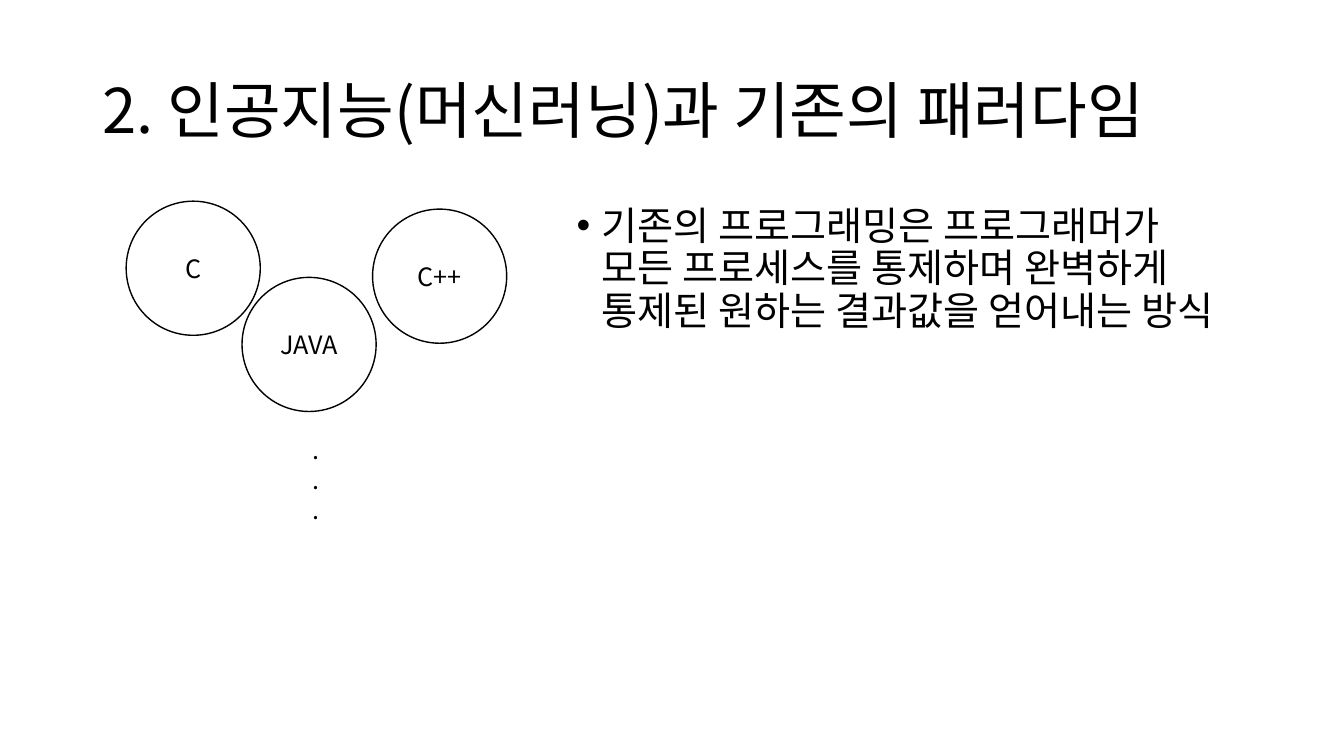
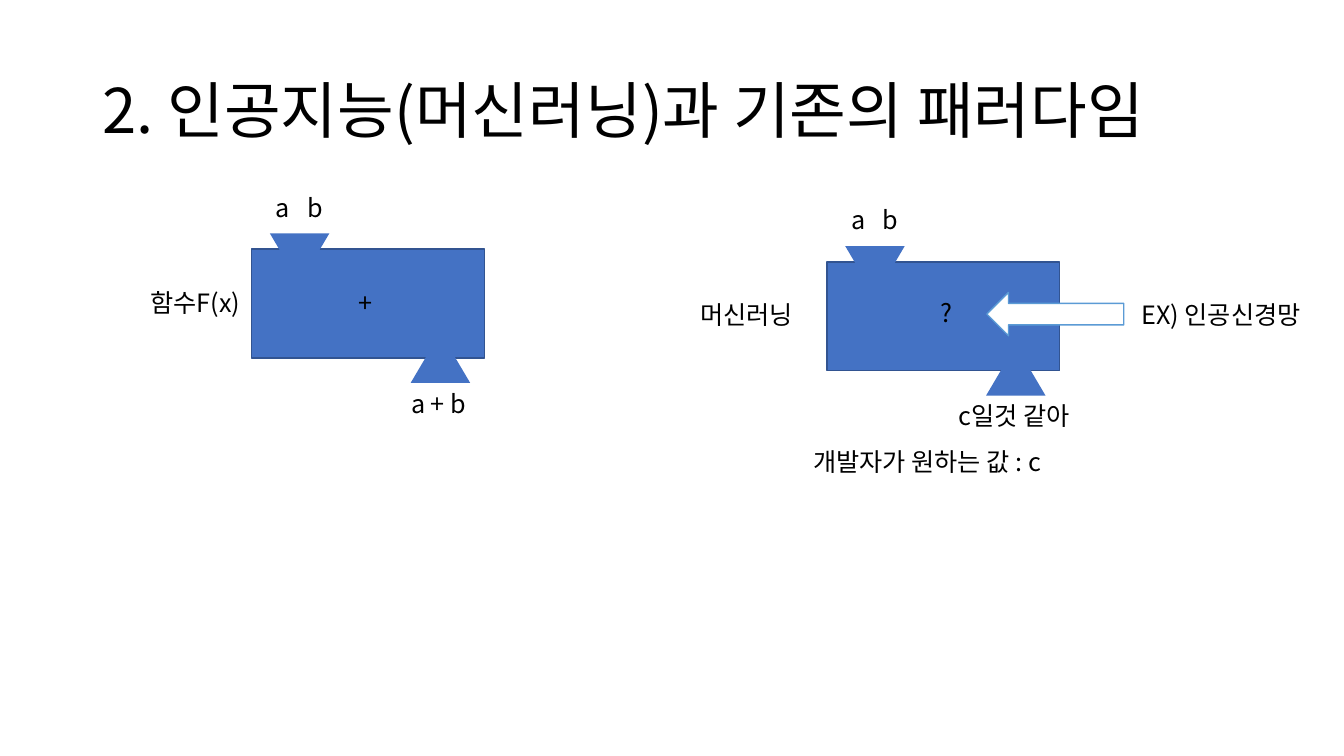
from dataclasses import dataclass
from typing import Optional

import lxml.etree
import pptx
import pptx.dml.color
import pptx.enum.shapes
import pptx.enum.text
import pptx.oxml.ns
import pptx.shapes.autoshape
import pptx.slide
import pptx.text.text
import pptx.util

Cm = pptx.util.Cm
Pt = pptx.util.Pt
RGBColor = pptx.dml.color.RGBColor
Geometry = pptx.enum.shapes.MSO_SHAPE
Anchor = pptx.enum.text.MSO_ANCHOR
Align = pptx.enum.text.PP_ALIGN
qn = pptx.oxml.ns.qn

# Shared style
FONT = "Noto Sans CJK KR"
BLACK = RGBColor(0x00, 0x00, 0x00)
WHITE = RGBColor(0xFF, 0xFF, 0xFF)
BLUE = RGBColor(0x44, 0x72, 0xC4)
DARK_BLUE = RGBColor(0x32, 0x54, 0x91)
LIGHT_BLUE = RGBColor(0x5B, 0x9B, 0xD5)
TITLE = "2. 인공지능(머신러닝)과 기존의 패러다임"
LABEL_HEIGHT = 1.02
CIRCLE_SIZE = 3.38
INDENT = 0.64
INPUT_TAB = 0.79


@dataclass(frozen=True)
class Area:
    """Left, top, width and height in centimetres."""
    left: float
    top: float
    width: float
    height: float = LABEL_HEIGHT

    def lengths(self) -> tuple:
        return Cm(self.left), Cm(self.top), Cm(self.width), Cm(self.height)

    def shifted(self, left: float, top: float) -> "Area":
        return Area(self.left + left, self.top + top, self.width, self.height)


@dataclass(frozen=True)
class Label:
    text: str
    area: Area


@dataclass(frozen=True)
class Machine:
    """A box with a funnel at each end; label areas are relative to it."""
    left: float
    top: float
    labels: tuple[Label, ...]


BODY = Area(0, 0, 5.87, 2.74)
FUNNEL_IN = Area(0.46, -0.4, 1.5, 1.27)
FUNNEL_OUT = Area(4.01, 2.1, 1.5, 1.27)
INPUTS = Label("a\tb", Area(0.36, -1.57, 2.57))

CIRCLES = [
    Label("C", Area(3.18, 5.07, CIRCLE_SIZE, CIRCLE_SIZE)),
    Label("JAVA", Area(6.1, 6.99, CIRCLE_SIZE, CIRCLE_SIZE)),
    Label("C++", Area(9.39, 5.27, CIRCLE_SIZE, CIRCLE_SIZE)),
]
MACHINES = [
    Machine(6.34, 6.28, (
        Label("함수F(x)", Area(-2.8, 0.83, 2.82)),
        INPUTS,
        Label("+", Area(2.44, 0.84, 0.99)),
        Label("a + b", Area(3.77, 3.37, 2.44)),
    )),
    Machine(20.84, 6.6, (
        Label("머신러닝", Area(-3.44, 0.82, 3.45)),
        INPUTS,
        Label("?", Area(2.62, 0.77, 1.14)),
        Label("c일것 같아", Area(3.06, 3.36, 3.84)),
        Label("EX) 인공신경망", Area(7.67, 0.82, 4.98)),
        Label("개발자가 원하는 값 : c", Area(-0.6, 4.53, 7.57)),
    )),
]


# Text
def style_text(frame: pptx.text.text.TextFrame, size: float) -> None:
    for para in frame.paragraphs:
        for span in para.runs:
            span.font.size = Pt(size)
            span.font.name = FONT
            span.font.color.rgb = BLACK


def add_text(page: pptx.slide.Slide, label: Label,
             size: float = 18) -> pptx.text.text.TextFrame:
    box = page.shapes.add_textbox(*label.area.lengths())
    frame = box.text_frame
    frame.word_wrap = True
    frame.text = label.text
    style_text(frame, size)
    return frame


def add_title(page: pptx.slide.Slide) -> None:
    frame = add_text(page, Label(TITLE, Area(2.33, 1.01, 29.21, 3.68)), 44)
    frame.vertical_anchor = Anchor.MIDDLE
    frame.paragraphs[0].line_spacing = 0.9


def add_bullet(para: pptx.text.text._Paragraph) -> None:
    properties = para._p.get_or_add_pPr()
    properties.set("marL", str(Cm(INDENT)))
    properties.set("indent", str(-Cm(INDENT)))
    bullet_font = lxml.etree.SubElement(properties, qn("a:buFont"))
    bullet_font.set("typeface", "Arial")
    lxml.etree.SubElement(properties, qn("a:buChar")).set("char", "•")


def add_tab(para: pptx.text.text._Paragraph, position: float) -> None:
    stops = lxml.etree.SubElement(para._p.get_or_add_pPr(), qn("a:tabLst"))
    stop = lxml.etree.SubElement(stops, qn("a:tab"))
    stop.set("pos", str(Cm(position)))
    stop.set("algn", "l")


# Shapes
def add_figure(page: pptx.slide.Slide, geometry: Geometry, area: Area,
               fill: RGBColor, line: Optional[RGBColor] = None,
               rotation: float = 0) -> pptx.shapes.autoshape.Shape:
    figure = page.shapes.add_shape(geometry, *area.lengths())
    figure.shadow.inherit = False
    figure.rotation = rotation
    figure.fill.solid()
    figure.fill.fore_color.rgb = fill
    if line is None:
        figure.line.fill.background()
    else:
        figure.line.color.rgb = line
        figure.line.width = Pt(1)
    return figure


def add_circle(page: pptx.slide.Slide, circle: Label) -> None:
    figure = add_figure(page, Geometry.OVAL, circle.area, WHITE, BLACK)
    frame = figure.text_frame
    frame.text = circle.text
    frame.vertical_anchor = Anchor.MIDDLE
    frame.paragraphs[0].alignment = Align.CENTER
    style_text(frame, 18)


def add_machine(page: pptx.slide.Slide, machine: Machine) -> None:
    origin = (machine.left, machine.top)
    triangle = Geometry.ISOSCELES_TRIANGLE
    add_figure(page, Geometry.RECTANGLE, BODY.shifted(*origin), BLUE, DARK_BLUE)
    add_figure(page, triangle, FUNNEL_IN.shifted(*origin), BLUE, rotation=180)
    add_figure(page, triangle, FUNNEL_OUT.shifted(*origin), BLUE)
    for label in machine.labels:
        frame = add_text(page, Label(label.text, label.area.shifted(*origin)))
        if "\t" in label.text:
            add_tab(frame.paragraphs[0], INPUT_TAB)


def add_page(deck: pptx.presentation.Presentation) -> pptx.slide.Slide:
    page = deck.slides.add_slide(deck.slide_layouts[6])
    add_title(page)
    return page


deck = pptx.Presentation()
deck.slide_width = Cm(33.87)
deck.slide_height = Cm(19.05)

# Slide 1: conventional programming
languages = add_page(deck)
description = add_text(languages, Label(
    "기존의 프로그래밍은 프로그래머가 모든 프로세스를 통제하며 "
    "완벽하게 통제된 원하는 결과값을 얻어내는 방식",
    Area(14.28, 5.08, 17.1, 12.09)), 28)
description.paragraphs[0].line_spacing = 0.9
description.paragraphs[0].space_before = Pt(10)
add_bullet(description.paragraphs[0])
for circle in CIRCLES:
    add_circle(languages, circle)
add_text(languages, Label(".\n.\n.", Area(7.62, 10.82, 0.89, 2.57)))

# Slide 2: function and machine learning
comparison = add_page(deck)
for machine in MACHINES:
    add_machine(comparison, machine)
add_figure(comparison, Geometry.RIGHT_ARROW, Area(24.87, 7.37, 3.45, 1.09),
           WHITE, LIGHT_BLUE, rotation=180)

deck.save("out.pptx")
